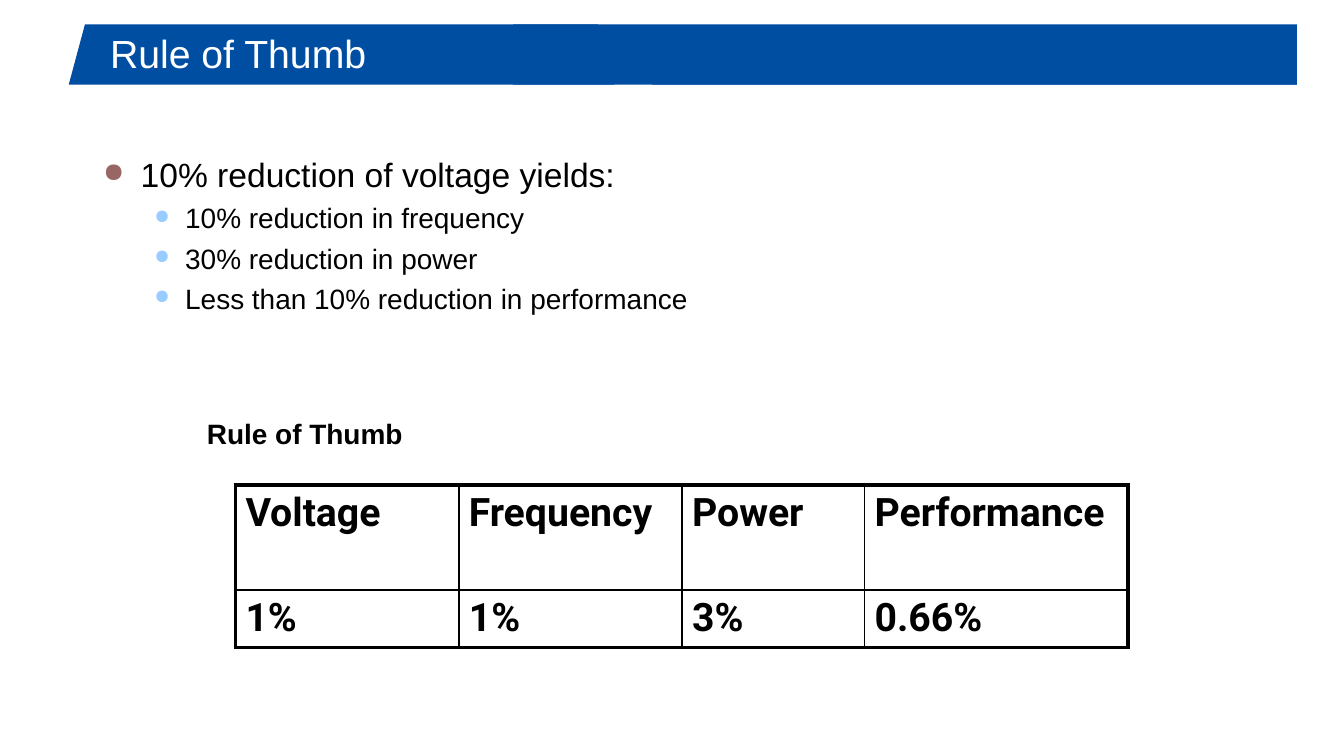
from dataclasses import dataclass

import pptx
import pptx.dml.color
import pptx.enum.shapes
import pptx.enum.text
import pptx.oxml
import pptx.oxml.ns
import pptx.util

Cm, Pt = pptx.util.Cm, pptx.util.Pt
RGB = pptx.dml.color.RGBColor.from_string
SHAPE = pptx.enum.shapes.MSO_SHAPE
ANCHOR = pptx.enum.text.MSO_ANCHOR

COLORS = {
    "bar": "004EA2",
    "text": "000000",
    "title": "FFFFFF",
    "bullet": "996666",
    "sub_bullet": "99CCFF",
}


@dataclass
class Box:
    left: float
    top: float
    width: float
    height: float

    def lengths(self) -> list:
        return [Cm(v) for v in (self.left, self.top, self.width, self.height)]


@dataclass
class Style:
    font: str
    size: float
    color: str = "text"
    bold: bool = False


@dataclass
class Level:
    style: Style
    margin: float
    hang: float
    bullet_color: str
    bullet_percent: int


TITLE = Style("Arial", 21, "title")
CAPTION = Style("Arial", 15, bold=True)
CELL = Style("Roboto", 21, bold=True)
LEVELS = [
    Level(Style("Arial", 18), 0.71, 0.71, "bullet", 80),
    Level(Style("Arial", 15), 1.55, 0.58, "sub_bullet", 70),
]

BARS = [
    (SHAPE.TRAPEZOID, Box(1.3, 0.46, 10.31, 1.14)),
    (SHAPE.RECTANGLE, Box(9.7, 0.46, 14.81, 1.14)),
    (SHAPE.RECTANGLE, Box(12.32, 1.5, 12.19, 0.1)),
]
BULLETS = [
    (0, "10% reduction of voltage yields:"),
    (1, "10% reduction in frequency"),
    (1, "30% reduction in power"),
    (1, "Less than 10% reduction in performance"),
]
ROWS = [
    ["Voltage", "Frequency", "Power", "Performance"],
    ["1%", "1%", "3%", "0.66%"],
]
COL_WIDTHS = [4.22, 4.22, 3.45, 4.98]
ROW_HEIGHTS = [1.98, 1.09]
TABLE_BOX = Box(4.45, 9.17, sum(COL_WIDTHS), sum(ROW_HEIGHTS))
CELL_FORMAT = {
    "margin_left": Cm(0.19),
    "margin_right": Cm(0.19),
    "margin_top": Cm(0.1),
    "margin_bottom": Cm(0.1),
}
INNER_LINE, OUTER_LINE = 1, 2.25


def xml(tag: str, attrs: str, content: str = ""):
    ns = pptx.oxml.ns.nsdecls("a")
    return pptx.oxml.parse_xml(f"<a:{tag} {ns} {attrs}>{content}</a:{tag}>")


def add_run(p, text: str, style: Style) -> None:
    r = p.add_run()
    r.text = text
    values = {"name": style.font, "size": Pt(style.size), "bold": style.bold}
    for name, value in values.items():
        setattr(r.font, name, value)
    r.font.color.rgb = RGB(COLORS[style.color])


def add_text_frame(s, box: Box, anchor=ANCHOR.TOP):
    tf = s.shapes.add_textbox(*box.lengths()).text_frame
    for name, value in {"word_wrap": True, "vertical_anchor": anchor}.items():
        setattr(tf, name, value)
    return tf


def add_bar(s, kind, box: Box) -> None:
    sp = s.shapes.add_shape(kind, *box.lengths())
    sp.shadow.inherit = False
    sp.fill.solid()
    sp.fill.fore_color.rgb = RGB(COLORS["bar"])
    sp.line.fill.background()
    if kind == SHAPE.TRAPEZOID:
        sp.adjustments[0] = 0.27


def set_bullet(p, level: Level) -> None:
    pPr = p._p.get_or_add_pPr()
    pPr.set("marL", str(Cm(level.margin)))
    pPr.set("indent", str(-Cm(level.hang)))
    color = f'<a:srgbClr val="{COLORS[level.bullet_color]}"/>'
    pPr.append(xml("buClr", "", color))
    pPr.append(xml("buSzPct", f'val="{level.bullet_percent * 1000}"'))
    pPr.append(xml("buChar", 'char="●"'))


def add_bullets(s, box: Box) -> None:
    tf = add_text_frame(s, box)
    for i, (depth, text) in enumerate(BULLETS):
        p = tf.add_paragraph() if i else tf.paragraphs[0]
        level = LEVELS[depth]
        p.level = depth
        p.space_before = Pt(3.5 if i else 0)
        set_bullet(p, level)
        add_run(p, text, level.style)


def set_borders(cell, row: int, col: int) -> None:
    """Draw thick lines on the table's outside and thin ones inside."""
    outer = {
        "lnL": col == 0,
        "lnR": col == len(COL_WIDTHS) - 1,
        "lnT": row == 0,
        "lnB": row == len(ROWS) - 1,
    }
    fill = f'<a:solidFill><a:srgbClr val="{COLORS["text"]}"/></a:solidFill>'
    tcPr = cell._tc.get_or_add_tcPr()
    for tag, is_outer in outer.items():
        width = Pt(OUTER_LINE if is_outer else INNER_LINE)
        tcPr.append(xml(tag, f'w="{width}"', fill))


def add_rule_table(s) -> None:
    table = s.shapes.add_table(len(ROWS), len(COL_WIDTHS), *TABLE_BOX.lengths()).table
    for name in ("first_row", "horz_banding"):
        setattr(table, name, False)
    for column, width in zip(table.columns, COL_WIDTHS):
        column.width = Cm(width)
    for i, texts in enumerate(ROWS):
        table.rows[i].height = Cm(ROW_HEIGHTS[i])
        for j, text in enumerate(texts):
            cell = table.cell(i, j)
            for name, value in CELL_FORMAT.items():
                setattr(cell, name, value)
            set_borders(cell, i, j)
            cell.fill.background()
            add_run(cell.text_frame.paragraphs[0], text, CELL)


def main() -> None:
    prs = pptx.Presentation()
    prs.slide_width, prs.slide_height = Cm(25.4), Cm(14.29)
    s = prs.slides.add_slide(prs.slide_layouts[6])
    for kind, box in BARS:
        add_bar(s, kind, box)
    add_bullets(s, Box(1.7, 2.79, 22.02, 9.19))
    title = add_text_frame(s, Box(1.83, 0.48, 21.95, 1.04), ANCHOR.MIDDLE)
    add_run(title.paragraphs[0], "Rule of Thumb", TITLE)
    add_rule_table(s)
    caption = add_text_frame(s, Box(3.66, 7.75, 7.11, 0.89))
    add_run(caption.paragraphs[0], "Rule of Thumb", CAPTION)
    prs.save("out.pptx")


if __name__ == "__main__":
    main()
